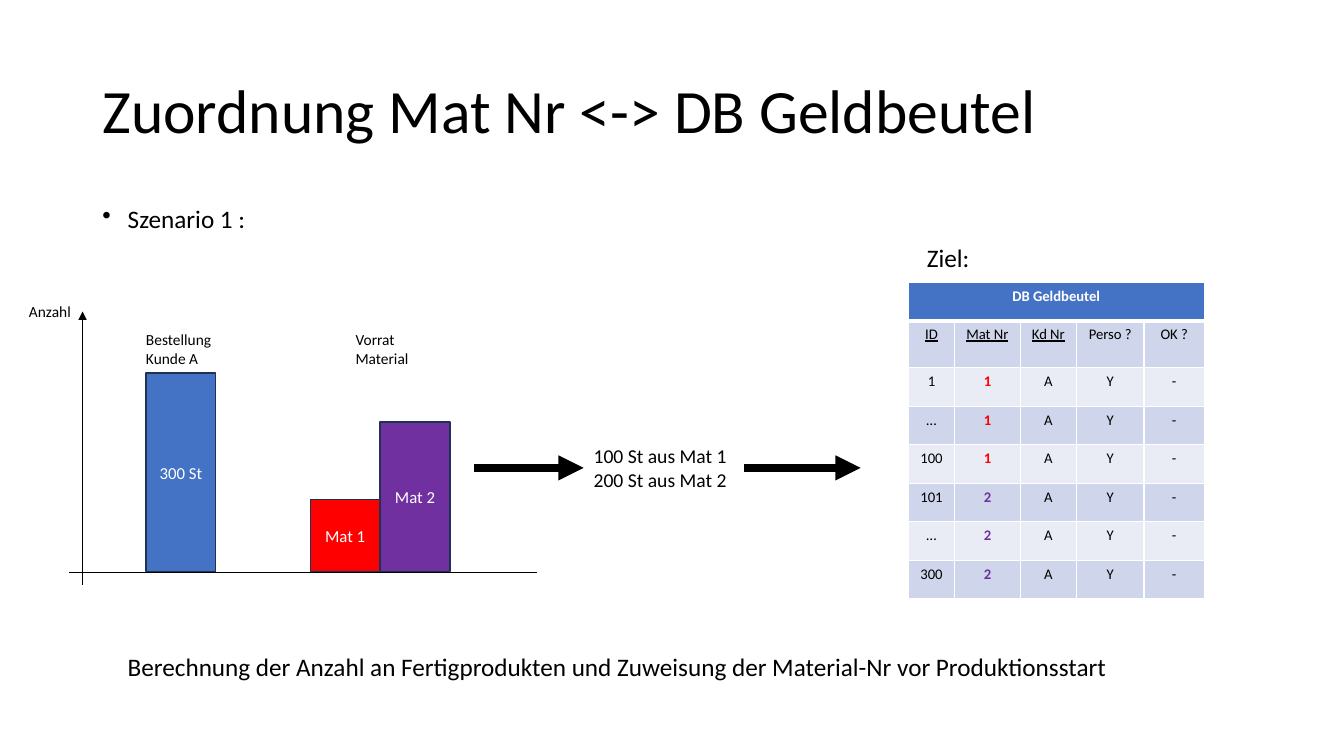
from dataclasses import dataclass

from pptx import Presentation
from pptx.dml.color import RGBColor
from pptx.enum.shapes import MSO_CONNECTOR as Connector, MSO_SHAPE as Shape
from pptx.enum.text import MSO_ANCHOR as Anchor, MSO_AUTO_SIZE as AutoSize, PP_ALIGN as Align
from pptx.oxml.ns import qn
from pptx.oxml.xmlchemy import OxmlElement
from pptx.util import Cm, Pt


@dataclass(frozen=True)
class Theme:
    font: str = "Calibri"
    black: str = "000000"
    white: str = "FFFFFF"
    blue: str = "4472C4"
    red: str = "FF0000"
    purple: str = "7030A0"
    outline: str = "1E3256"
    band_dark: str = "CFD5EA"
    band_light: str = "E9EBF5"
    title: float = 44
    body: float = 18
    result: float = 14
    bar: float = 12
    caption: float = 11
    table: float = 10.5


def rgb(color):
    return RGBColor.from_string(color)


class SlideBuilder:
    def __init__(self, slide, theme):
        self.shapes = slide.shapes
        self.theme = theme

    def set_lines(self, frame, lines, size, color, align=Align.LEFT, bold=False, underline=False):
        for index, line in enumerate(lines):
            para = frame.add_paragraph() if index else frame.paragraphs[0]
            para.text = line
            para.alignment = align
            font = para.font
            font.name = self.theme.font
            font.size = Pt(size)
            font.color.rgb = rgb(color)
            font.bold = bold
            font.underline = underline

    def text(self, position, lines, size, grow=True):
        box = self.shapes.add_textbox(*map(Cm, position))
        frame = box.text_frame
        frame.word_wrap = True
        frame.auto_size = AutoSize.SHAPE_TO_FIT_TEXT if grow else AutoSize.NONE
        self.set_lines(frame, lines, size, self.theme.black)
        return frame

    def title(self, position, line):
        frame = self.text(position, [line], self.theme.title, grow=False)
        frame.vertical_anchor = Anchor.MIDDLE
        frame.paragraphs[0].line_spacing = 0.9

    def bullet(self, position, line):
        para = self.text(position, [line], self.theme.body, grow=False).paragraphs[0]
        para.line_spacing = 0.9
        para.space_before = Pt(10)
        properties = para._p.get_or_add_pPr()
        properties.set("marL", str(Cm(0.64)))
        properties.set("indent", str(Cm(-0.64)))
        mark = OxmlElement("a:buChar")
        mark.set("char", "•")
        properties.find(qn("a:defRPr")).addprevious(mark)

    def bar(self, left, baseline, width, height, label, color):
        bar = self.shapes.add_shape(
            Shape.RECTANGLE, Cm(left), Cm(baseline - height), Cm(width), Cm(height))
        bar.shadow.inherit = False
        bar.fill.solid()
        bar.fill.fore_color.rgb = rgb(color)
        bar.line.color.rgb = rgb(self.theme.outline)
        bar.line.width = Pt(1)
        bar.text_frame.vertical_anchor = Anchor.MIDDLE
        self.set_lines(bar.text_frame, [label], self.theme.bar, self.theme.white, Align.CENTER)

    def line(self, start, end, width, arrow=False):
        line = self.shapes.add_connector(Connector.STRAIGHT, *map(Cm, (*start, *end)))
        line.line.color.rgb = rgb(self.theme.black)
        line.line.width = Pt(width)
        properties = line._element.spPr
        if arrow:
            head = OxmlElement("a:tailEnd")
            head.set("type", "triangle")
            properties.find(qn("a:ln")).append(head)
        properties.append(OxmlElement("a:effectLst"))

    def border(self, cell, side, width):
        edge = OxmlElement(f"a:ln{side}")
        edge.set("w", str(Pt(width)))
        fill = OxmlElement("a:solidFill")
        color = OxmlElement("a:srgbClr")
        color.set("val", self.theme.white)
        fill.append(color)
        edge.append(fill)
        cell._tc.get_or_add_tcPr().append(edge)

    def cell(self, cell, label, fill, color, bold=False, underline=False, top=1, bottom=1):
        cell.margin_left = cell.margin_right = Cm(0.15)
        for side, width in (("L", 1), ("R", 1), ("T", top), ("B", bottom)):
            self.border(cell, side, width)
        cell.fill.solid()
        cell.fill.fore_color.rgb = rgb(fill)
        self.set_lines(cell.text_frame, [label], self.theme.table, color,
                       Align.CENTER, bold, underline)

    def wallet_table(self, left, top, widths, heights, heading, columns, keys, rows):
        """Draw a merged heading, column names (keys underlined) and banded rows."""
        theme = self.theme
        table = self.shapes.add_table(
            len(heights), len(widths), Cm(left), Cm(top),
            Cm(sum(widths)), Cm(sum(heights))).table
        for column, width in zip(table.columns, widths):
            column.width = Cm(width)
        for row, height in zip(table.rows, heights):
            row.height = Cm(height)
        table.cell(0, 0).merge(table.cell(0, len(widths) - 1))
        self.cell(table.cell(0, 0), heading, theme.blue, theme.white, bold=True, bottom=3)
        for c, name in enumerate(columns):
            self.cell(table.cell(1, c), name, theme.band_dark, theme.black,
                      underline=name in keys, top=3)
        material_colors = {"1": theme.red, "2": theme.purple}
        material_column = columns.index("Mat Nr")
        for r, values in enumerate(rows, start=2):
            band = theme.band_dark if r % 2 else theme.band_light
            for c, value in enumerate(values):
                is_material = c == material_column
                color = material_colors[value] if is_material else theme.black
                self.cell(table.cell(r, c), value, band, color, bold=is_material)


def main():
    deck = Presentation()
    deck.slide_width, deck.slide_height = Cm(33.87), Cm(19.05)
    theme = Theme()
    page = SlideBuilder(deck.slides.add_slide(deck.slide_layouts[6]), theme)

    page.title((2.33, 1.02, 29.21, 3.68), "Zuordnung Mat Nr <-> DB Geldbeutel")
    page.bullet((2.33, 5.08, 29.21, 12.09), "Szenario 1 :")

    baseline, bar_width, stock_left = 14.41, 1.76, 7.82
    for left, height, label, color in (
        (3.68, 5.01, "300 St", theme.blue),
        (stock_left, 1.83, "Mat 1", theme.red),
        (stock_left + bar_width, 3.78, "Mat 2", theme.purple),
    ):
        page.bar(left, baseline, bar_width, height, label, color)
    for left, label in ((3.43, "Bestellung Kunde A"), (8.71, "Vorrat Material")):
        page.text((left, 8.2, 2.29, 1.19), [label], theme.caption)

    page.text((14.71, 11.07, 4.04, 1.45), ["100 St aus Mat 1", "200 St aus Mat 2"], theme.result)

    materials = (("1", "1"), ("…", "1"), ("100", "1"), ("101", "2"), ("…", "2"), ("300", "2"))
    page.wallet_table(
        22.89, 7.11, (1.17, 1.65, 1.42, 1.7, 1.52), (0.97, 1.19, *[0.97] * 6),
        "DB Geldbeutel", ("ID", "Mat Nr", "Kd Nr", "Perso ?", "OK ?"),
        ("ID", "Mat Nr", "Kd Nr"),
        [(number, material, "A", "Y", "-") for number, material in materials])

    for start, end in ((11.94, 14.71), (18.75, 21.69)):
        page.line((start, 11.79), (end, 11.79), 6, arrow=True)
    page.line((1.75, baseline), (13.54, baseline), 0.5)
    page.line((2.08, 14.73), (2.08, 7.85), 0.5, arrow=True)

    page.text((0.48, 7.49, 2.29, 0.74), ["Anzahl"], theme.caption)
    page.text((23.11, 5.97, 3.94, 1.02), ["Ziel:"], theme.body)
    page.text((2.97, 16.28, 27.51, 1.02),
              ["Berechnung der Anzahl an Fertigprodukten und Zuweisung "
               "der Material-Nr vor Produktionsstart"], theme.body)

    deck.save("out.pptx")


if __name__ == "__main__":
    main()
